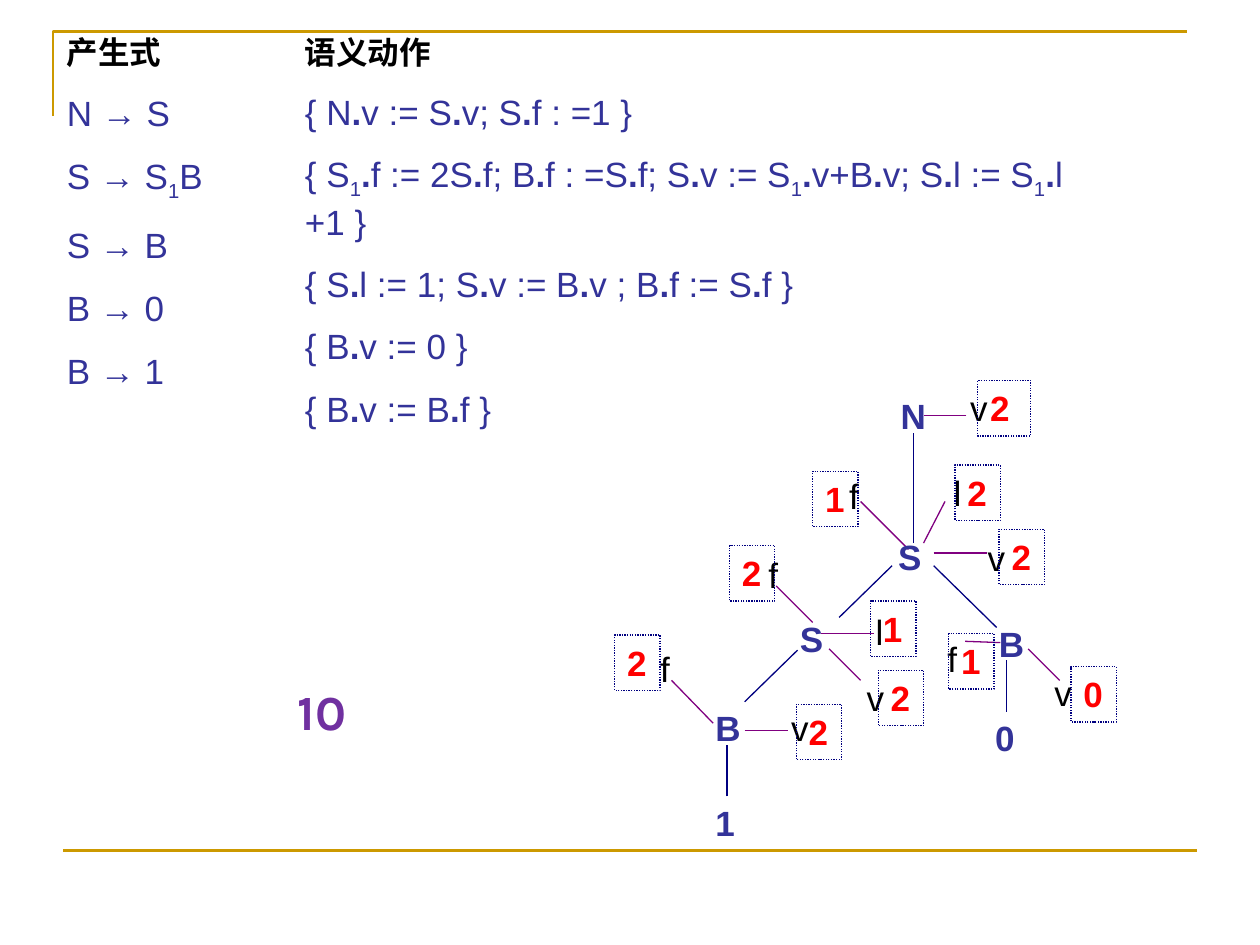
from dataclasses import dataclass
from itertools import groupby

from lxml import etree
from pptx import Presentation
from pptx.dml.color import RGBColor
from pptx.enum import dml, shapes, text
from pptx.oxml.ns import qn
from pptx.util import Inches, Pt

COLORS = {
    "gold": "CC9900", "indigo": "333399", "navy": "000080", "purple": "800080",
    "violet": "7030A0", "red": "FF0000", "black": "000000",
}


@dataclass
class Label:
    text: str
    left: float
    top: float
    width: float = 0.42


@dataclass
class Edge:
    x1: float
    y1: float
    x2: float
    y2: float


PRODUCTIONS = ["产生式", "N → S", "S → S₁B", "S → B", "B → 0", "B → 1"]
ACTIONS = [
    "语义动作",
    "{ N.v := S.v; S.f : =1 }",
    "{ S₁.f := 2S.f; B.f : =S.f; S.v := S₁.v+B.v; S.l := S₁.l +1 }",
    "{ S.l := 1; S.v := B.v ; B.f := S.f }",
    "{ B.v := 0 }",
    "{ B.v := B.f }",
]
NODES = [
    Label("N", 7.05, 3.08, 0.45), Label("S", 7.03, 4.2), Label("S", 6.25, 4.85),
    Label("B", 7.83, 4.89), Label("B", 5.58, 5.56),
    Label("0", 7.8, 5.64), Label("1", 5.58, 6.31),
]
BRANCHES = [
    Edge(7.25, 4.31, 7.25, 3.44), Edge(7.91, 4.98, 7.41, 4.49),
    Edge(6.66, 4.9, 7.08, 4.49), Edge(5.91, 5.57, 6.33, 5.16),
    Edge(7.99, 5.65, 7.99, 5.24), Edge(5.77, 6.32, 5.77, 5.91),
]
ATTRIBUTES = [
    Label("v", 7.6, 3.02), Label("v", 7.74, 4.21), Label("f", 6.64, 3.72),
    Label("l", 7.47, 3.69), Label("l", 6.85, 4.8), Label("f", 6, 4.34),
    Label("v", 6.78, 5.32), Label("f", 5.14, 5.09), Label("v", 6.18, 5.56),
    Label("f", 7.42, 5.01), Label("v", 8.27, 5.28),
]
ATTRIBUTE_LINKS = [
    Edge(7.67, 3.3, 7.33, 3.3), Edge(6.83, 3.98, 7.21, 4.36),
    Edge(7.5, 3.98, 7.33, 4.31), Edge(7.41, 4.39, 7.83, 4.39),
    Edge(6.52, 5.03, 6.94, 5.03), Edge(6.45, 4.94, 6.16, 4.65),
    Edge(6.58, 5.15, 6.83, 5.4), Edge(5.33, 5.4, 5.66, 5.74),
    Edge(5.91, 5.8, 6.25, 5.8), Edge(7.94, 5.1, 7.66, 5.09),
    Edge(8.16, 5.15, 8.41, 5.4),
]
VALUES = [
    Label("1", 6.45, 3.74, 0.36), Label("1", 6.91, 4.77, 0.36),
    Label("2", 7.58, 3.69, 0.36), Label("2", 5.79, 4.33, 0.36),
    Label("1", 7.53, 5.03, 0.36), Label("2", 4.88, 5.04, 0.36),
    Label("2", 6.32, 5.59, 0.36), Label("2", 6.97, 5.32, 0.36),
    Label("0", 8.5, 5.29, 0.36), Label("2", 7.93, 4.2, 0.36),
    Label("2", 7.76, 3.02),
]


def rgb(color: str) -> RGBColor:
    return RGBColor.from_string(COLORS[color])


def set_font(font, size: float, color: str, bold: bool, name: str = "Arial") -> None:
    font.name, font.size, font.bold = name, Pt(size), bold
    font.color.rgb = rgb(color)


def add_rule_runs(p, rule: str) -> None:
    """Write a grammar rule with bold dots and lowered indices."""
    for kind, chars in groupby(rule, lambda c: c if c in ".₁" else ""):
        r = p.add_run()
        r.text = "".join(chars).replace("₁", "1")
        set_font(r.font, 20, "indigo", kind == ".")
        if kind == "₁":
            r._r.get_or_add_rPr().set("baseline", "-25000")


def fill_column(sp, lines: list[str], left: float, width: float, height: float,
                gap: float) -> None:
    """Place a body placeholder and write a heading followed by rules."""
    sp.left, sp.top = Inches(left), Inches(0.21)
    sp.width, sp.height = Inches(width), Inches(height)
    tf = sp.text_frame
    tf.word_wrap = True
    tf.auto_size = text.MSO_AUTO_SIZE.NONE
    for i, line in enumerate(lines):
        p = tf.paragraphs[0] if i == 0 else tf.add_paragraph()
        pPr = p._p.get_or_add_pPr()
        pPr.set("marL", "0")
        pPr.set("indent", "0")
        etree.SubElement(pPr, qn("a:buNone"))
        p.space_before = Pt(gap if i else 0)
        if i:
            add_rule_runs(p, line)
        else:
            p.text = line
            set_font(p.runs[0].font, 18, "black", True)


def write_label(sp, label: Label, size: float, color: str, bold: bool,
                name: str = "Arial") -> None:
    tf = sp.text_frame
    tf.word_wrap = True
    tf.vertical_anchor = text.MSO_ANCHOR.TOP
    tf.text = label.text
    p = tf.paragraphs[0]
    p.alignment = text.PP_ALIGN.LEFT
    set_font(p.runs[0].font, size, color, bold, name)


def add_label(slide, label: Label, color: str, bold: bool):
    sp = slide.shapes.add_textbox(Inches(label.left), Inches(label.top),
                                  Inches(label.width), Inches(0.44))
    write_label(sp, label, 20, color, bold)


def add_value_box(slide, label: Label) -> None:
    sp = slide.shapes.add_shape(shapes.MSO_SHAPE.RECTANGLE, Inches(label.left),
                                Inches(label.top), Inches(label.width), Inches(0.44))
    sp.shadow.inherit = False
    sp.fill.background()
    sp.line.color.rgb = rgb("navy")
    sp.line.width = Pt(0.75)
    sp.line.dash_style = dml.MSO_LINE.ROUND_DOT
    write_label(sp, label, 20, "red", True)


def add_edge(slide, edge: Edge, color: str, width: float = 0.75) -> None:
    line = slide.shapes.add_connector(
        shapes.MSO_CONNECTOR.STRAIGHT, Inches(edge.x1), Inches(edge.y1),
        Inches(edge.x2), Inches(edge.y2))
    line.line.color.rgb = rgb(color)
    line.line.width = Pt(width)
    etree.SubElement(line._element.spPr, qn("a:effectLst"))


def add_frame(slide) -> None:
    """Draw the gold corner at the top and the gold rule at the bottom."""
    fb = slide.shapes.build_freeform(Inches(0.42), Inches(0.92))
    fb.add_line_segments([(Inches(0.42), Inches(0.25)), (Inches(9.42), Inches(0.25))],
                         close=False)
    corner = fb.convert_to_shape()
    corner.shadow.inherit = False
    corner.fill.background()
    corner.line.color.rgb = rgb("gold")
    corner.line.width = Pt(1.5)
    add_edge(slide, Edge(0.5, 6.75, 9.5, 6.75), "gold", 1.5)


def main() -> None:
    prs = Presentation()
    prs.slide_width, prs.slide_height = Inches(10), Inches(7.5)
    slide = prs.slides.add_slide(prs.slide_layouts[3])
    title, productions, actions = slide.placeholders
    title._element.getparent().remove(title._element)

    add_frame(slide)
    fill_column(productions, PRODUCTIONS, 0.43, 1.89, 3, 12)
    fill_column(actions, ACTIONS, 2.32, 6.77, 3.22, 11.5)
    actions.text_frame.margin_right = Inches(0.4)

    result = slide.shapes.add_textbox(Inches(1.69), Inches(5.36), Inches(1.73), Inches(0.57))
    write_label(result, Label("10", 1.69, 5.36), 28, "violet", True, "Karla")
    result.text_frame.paragraphs[0].alignment = text.PP_ALIGN.CENTER

    for edge in BRANCHES:
        add_edge(slide, edge, "navy")
    for edge in ATTRIBUTE_LINKS:
        add_edge(slide, edge, "purple")
    for node in NODES:
        add_label(slide, node, "indigo", True)
    for attribute in ATTRIBUTES:
        add_label(slide, attribute, "black", False)
    for value in VALUES:
        add_value_box(slide, value)
    prs.save("out.pptx")


if __name__ == "__main__":
    main()
